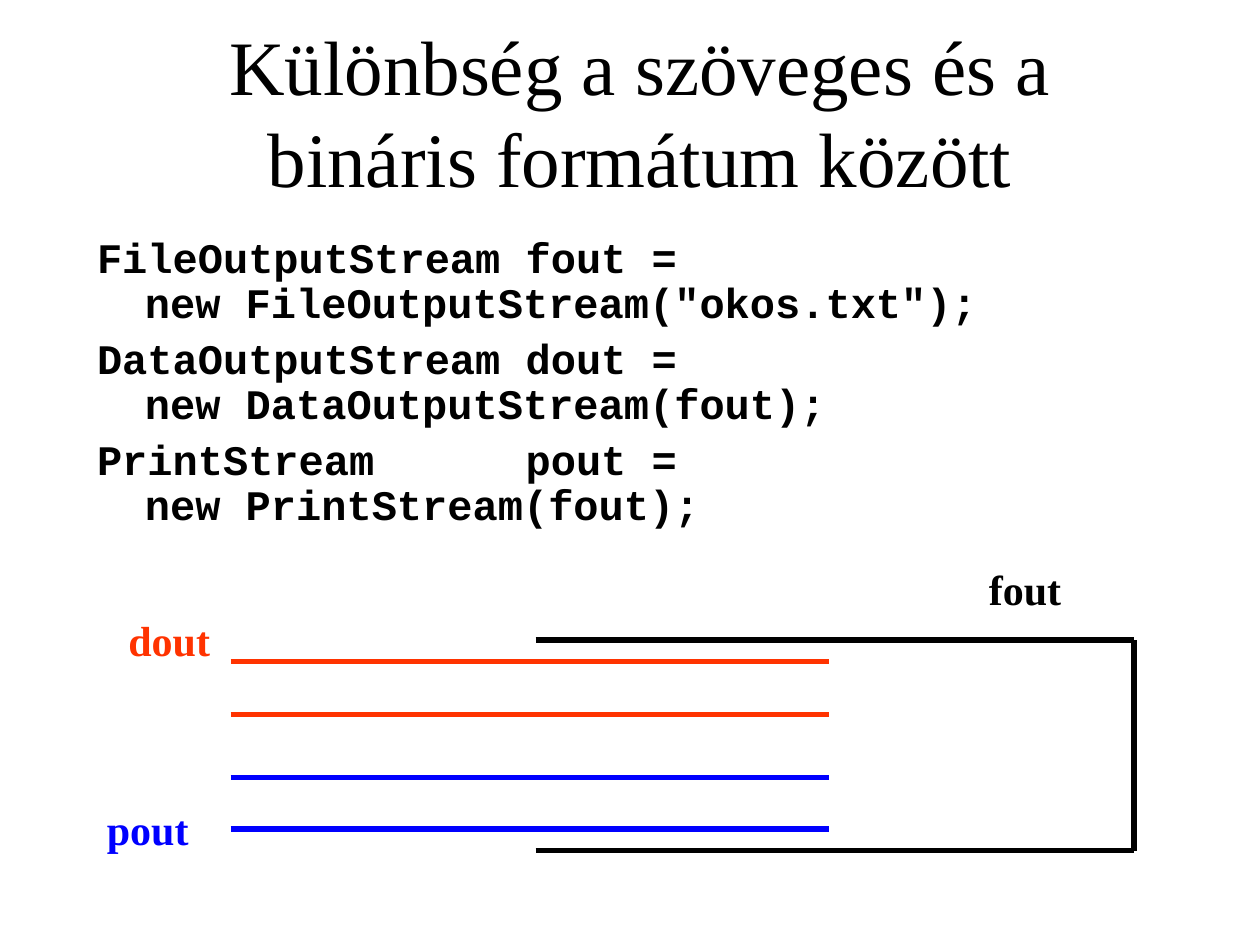
from lxml import etree
from pptx import Presentation
from pptx.dml.color import RGBColor
from pptx.enum.shapes import MSO_CONNECTOR
from pptx.enum.text import MSO_ANCHOR, MSO_AUTO_SIZE, PP_ALIGN
from pptx.oxml.ns import qn
from pptx.util import Inches, Pt

STRAIGHT = MSO_CONNECTOR.STRAIGHT
MIDDLE, TOP = MSO_ANCHOR.MIDDLE, MSO_ANCHOR.TOP
FIXED, GROW = MSO_AUTO_SIZE.NONE, MSO_AUTO_SIZE.SHAPE_TO_FIT_TEXT
CENTER, LEFT = PP_ALIGN.CENTER, PP_ALIGN.LEFT

BLACK = RGBColor(0x00, 0x00, 0x00)
RED = RGBColor(0xFF, 0x33, 0x00)
BLUE = RGBColor(0x00, 0x00, 0xFF)
SERIF, MONO = "Times New Roman", "Courier New"

STREAMS = [
    ("FileOutputStream", "fout", '"okos.txt"'),
    ("DataOutputStream", "dout", "fout"),
    ("PrintStream", "pout", "fout"),
]
LINES = [
    (4.25, 5.08, 9, 5.08, BLACK),
    (4.25, 6.75, 9, 6.75, BLACK),
    (9, 5.08, 9, 6.75, BLACK),
] + [(1.83, y, 6.58, y, color)
     for y, color in ((5.25, RED), (5.67, RED), (6.17, BLUE), (6.58, BLUE))]
LABELS = [
    ("fout", (7.75, 4.42, 0.92, 0.5), BLACK),
    ("dout", (0.92, 4.83, 0.92, 0.5), RED),
    ("pout", (0.75, 6.33, 1.08, 0.5), BLUE),
]


def apply(item, values):
    for name, value in values.items():
        setattr(item, name, value)


def place(shape, box):
    names = ("left", "top", "width", "height")
    apply(shape, dict(zip(names, map(Inches, box))))


def write(shape, texts, frame, para, font, color):
    area = shape.text_frame
    area.text = "\n".join(texts)
    apply(area, {"word_wrap": True, **frame})
    for line in area.paragraphs:
        apply(line, para)
        for run in line.runs:
            apply(run.font, font)
            run.font.color.rgb = color


def hang(line, size):
    props = line._p.get_or_add_pPr()
    props.set("marL", str(Inches(size)))
    props.set("indent", str(-Inches(size)))
    etree.SubElement(props, qn("a:buNone"))


def add_title(slide):
    title = slide.shapes.title
    place(title, (0.83, 0.17, 8.5, 1.42))
    write(title, ["Különbség a szöveges és a bináris formátum között"],
          {"vertical_anchor": MIDDLE, "auto_size": FIXED},
          {"alignment": CENTER},
          {"name": SERIF, "size": Pt(44)}, BLACK)


def add_code(slide):
    body = slide.placeholders[1]
    place(body, (0.67, 1.83, 8.92, 2.67))
    wide = max(len(kind) for kind, _, _ in STREAMS)
    texts = [f"{kind:<{wide}} {name} = \vnew {kind}({source});"
             for kind, name, source in STREAMS]
    write(body, texts,
          {"vertical_anchor": TOP, "auto_size": FIXED},
          {"alignment": LEFT, "line_spacing": 0.9, "space_before": Pt(6)},
          {"name": MONO, "size": Pt(24), "bold": True}, BLACK)
    for line in body.text_frame.paragraphs:
        hang(line, 0.38)


def add_line(slide, x1, y1, x2, y2, color):
    ends = map(Inches, (x1, y1, x2, y2))
    line = slide.shapes.add_connector(STRAIGHT, *ends)
    line.line.color.rgb = color
    line.line.width = Pt(3)
    etree.SubElement(line._element.spPr, qn("a:effectLst"))


def add_label(slide, text, box, color):
    label = slide.shapes.add_textbox(*map(Inches, box))
    write(label, [text], {"auto_size": GROW},
          {"space_before": Pt(15)},
          {"name": SERIF, "size": Pt(24), "bold": True}, color)


def main():
    deck = Presentation()
    apply(deck, {"slide_width": Inches(10), "slide_height": Inches(7.5)})
    slide = deck.slides.add_slide(deck.slide_layouts[1])
    add_title(slide)
    add_code(slide)
    for line in LINES:
        add_line(slide, *line)
    for label in LABELS:
        add_label(slide, *label)
    deck.save("out.pptx")


if __name__ == "__main__":
    main()
